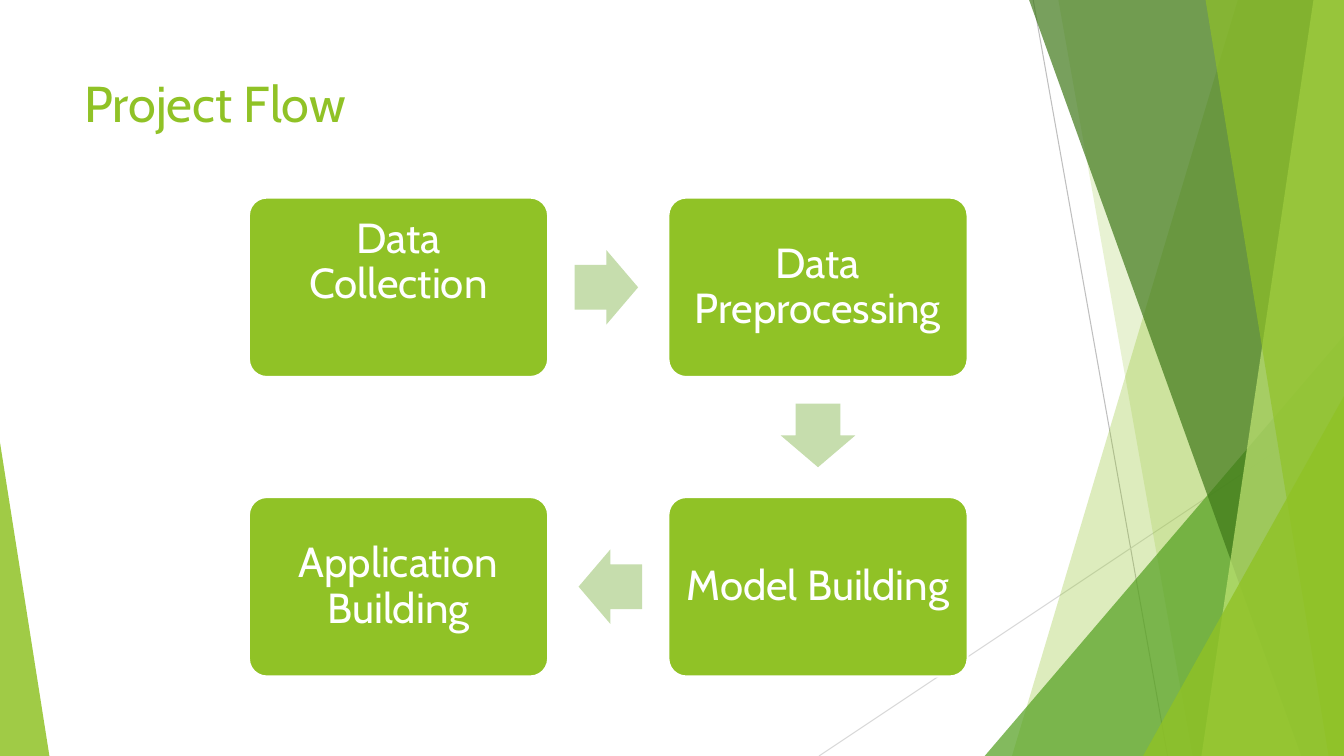
from typing import NamedTuple

from lxml import etree
from pptx import Presentation
from pptx.dml.color import RGBColor
from pptx.enum.shapes import MSO_CONNECTOR, MSO_SHAPE
from pptx.enum.text import MSO_ANCHOR, PP_ALIGN
from pptx.oxml.ns import qn
from pptx.util import Pt

STRAIGHT = MSO_CONNECTOR.STRAIGHT
TRIANGLE = MSO_SHAPE.ISOSCELES_TRIANGLE
ROUNDED = MSO_SHAPE.ROUNDED_RECTANGLE
ARROW = MSO_SHAPE.RIGHT_ARROW
TOP, MIDDLE = MSO_ANCHOR.TOP, MSO_ANCHOR.MIDDLE
LEFT, CENTER = PP_ALIGN.LEFT, PP_ALIGN.CENTER

WIDTH, HEIGHT = 960, 540
FONT = "Cabin"
COLORS = {
    "lime": "90C226",
    "green": "54A021",
    "forest": "3F7819",
    "pale": "C0E474",
    "arrow": "C6DDAD",
    "white": "FFFFFF",
    "steep_ray": "BFBFBF",
    "flat_ray": "D9D9D9",
}

STEP_WIDTH, STEP_HEIGHT = 213.8, 128.2
COLUMNS, ROWS = (177.8, 477.4), (141.1, 355)
ARROW_WIDTH, ARROW_HEIGHT = 45.4, 53.3
STEP_INSET = 8.6


class Ray(NamedTuple):
    start: tuple[float, float]
    end: tuple[float, float]
    color: str


class Band(NamedTuple):
    top_x: float
    bottom_x: float
    color: str
    opacity: int


class Wedge(NamedTuple):
    left: float
    top: float
    width: float
    apex: float
    color: str
    opacity: int


class Step(NamedTuple):
    label: str
    column: int
    row: int
    bottom_inset: float = STEP_INSET


class Flow(NamedTuple):
    left: float
    top: float
    rotation: int


RAYS = (
    Ray((738, 0), (834, HEIGHT), "steep_ray"),
    Ray((WIDTH, 290), (585, HEIGHT), "flat_ray"),
)
FACETS = (
    Band(884.2, 722.9, "lime", 30),
    Band(756, 851.8, "lime", 20),
    Wedge(703.4, 239.8, 256.6, 1, "green", 72),
    Band(735.1, 929.5, "forest", 70),
    Band(938.2, 858.2, "pale", 70),
    Band(861.1, 949, "lime", 65),
    Wedge(816.5, 283, 143.5, 1, "lime", 80),
    Wedge(0, 316.1, 35.3, 0, "lime", 85),
)
STEPS = (
    Step("Data Collection", 0, 0, 44.4),
    Step("Data Preprocessing", 1, 0),
    Step("Model Building", 1, 1),
    Step("Application Building", 0, 1),
)
FLOWS = (
    Flow(410.4, 178.6, 0),
    Flow(561.6, 284.4, 90),
    Flow(413.3, 392.4, 180),
)


def rgb(color: str) -> RGBColor:
    return RGBColor.from_string(COLORS[color])


def paint(shape, color: str, opacity: int = 100) -> None:
    shape.shadow.inherit = False
    shape.fill.solid()
    shape.fill.fore_color.rgb = rgb(color)
    shape.line.fill.background()
    if opacity < 100:
        tint = shape.fill._xPr.find(f".//{qn('a:srgbClr')}")
        etree.SubElement(tint, qn("a:alpha"), val=str(opacity * 1000))


def write(shape, text: str, *, size: float, color: str, align=LEFT, anchor=TOP,
          spacing: float = 1.0, insets=(7.2, 3.6, 7.2, 3.6)) -> None:
    frame = shape.text_frame
    frame.word_wrap = True
    frame.vertical_anchor = anchor
    (frame.margin_left, frame.margin_top,
     frame.margin_right, frame.margin_bottom) = map(Pt, insets)
    paragraph = frame.paragraphs[0]
    paragraph.alignment = align
    paragraph.line_spacing = spacing
    run = paragraph.add_run()
    run.text = text
    run.font.name = FONT
    run.font.size = Pt(size)
    run.font.color.rgb = rgb(color)


def draw_ray(shapes, ray: Ray) -> None:
    line = shapes.add_connector(STRAIGHT, *map(Pt, ray.start + ray.end))
    line.line.color.rgb = rgb(ray.color)
    line.line.width = Pt(0.75)
    etree.SubElement(line._element.spPr, qn("a:effectLst"))


def draw_band(shapes, band: Band) -> None:
    outline = shapes.build_freeform(Pt(band.top_x), 0)
    corners = ((WIDTH, 0), (WIDTH, HEIGHT), (band.bottom_x, HEIGHT))
    outline.add_line_segments([(Pt(x), Pt(y)) for x, y in corners], close=True)
    paint(outline.convert_to_shape(), band.color, band.opacity)


def draw_wedge(shapes, wedge: Wedge) -> None:
    triangle = shapes.add_shape(TRIANGLE, Pt(wedge.left), Pt(wedge.top),
                                Pt(wedge.width), Pt(HEIGHT - wedge.top))
    triangle.adjustments[0] = wedge.apex
    paint(triangle, wedge.color, wedge.opacity)


def draw_step(shapes, step: Step) -> None:
    card = shapes.add_shape(ROUNDED, Pt(COLUMNS[step.column]), Pt(ROWS[step.row]),
                            Pt(STEP_WIDTH), Pt(STEP_HEIGHT))
    card.adjustments[0] = 0.1
    paint(card, "lime")
    card.line.color.rgb = rgb("white")
    card.line.width = Pt(1.5)
    write(card, step.label, size=30, color="white", align=CENTER, anchor=MIDDLE,
          spacing=0.9, insets=(STEP_INSET, STEP_INSET, STEP_INSET, step.bottom_inset))


def draw_flow(shapes, flow: Flow) -> None:
    arrow = shapes.add_shape(ARROW, Pt(flow.left), Pt(flow.top),
                             Pt(ARROW_WIDTH), Pt(ARROW_HEIGHT))
    arrow.adjustments[0], arrow.adjustments[1] = 0.6, 0.5
    arrow.rotation = flow.rotation
    paint(arrow, "arrow")


def main() -> None:
    deck = Presentation()
    deck.slide_width, deck.slide_height = Pt(WIDTH), Pt(HEIGHT)
    shapes = deck.slides.add_slide(deck.slide_layouts[6]).shapes
    for ray in RAYS:
        draw_ray(shapes, ray)
    for facet in FACETS:
        if isinstance(facet, Band):
            draw_band(shapes, facet)
        else:
            draw_wedge(shapes, facet)
    heading = shapes.add_textbox(Pt(53.3), Pt(48.2), Pt(676.8), Pt(103.7))
    write(heading, "Project Flow", size=36, color="lime")
    for step in STEPS:
        draw_step(shapes, step)
    for flow in FLOWS:
        draw_flow(shapes, flow)
    deck.save("out.pptx")


if __name__ == "__main__":
    main()
